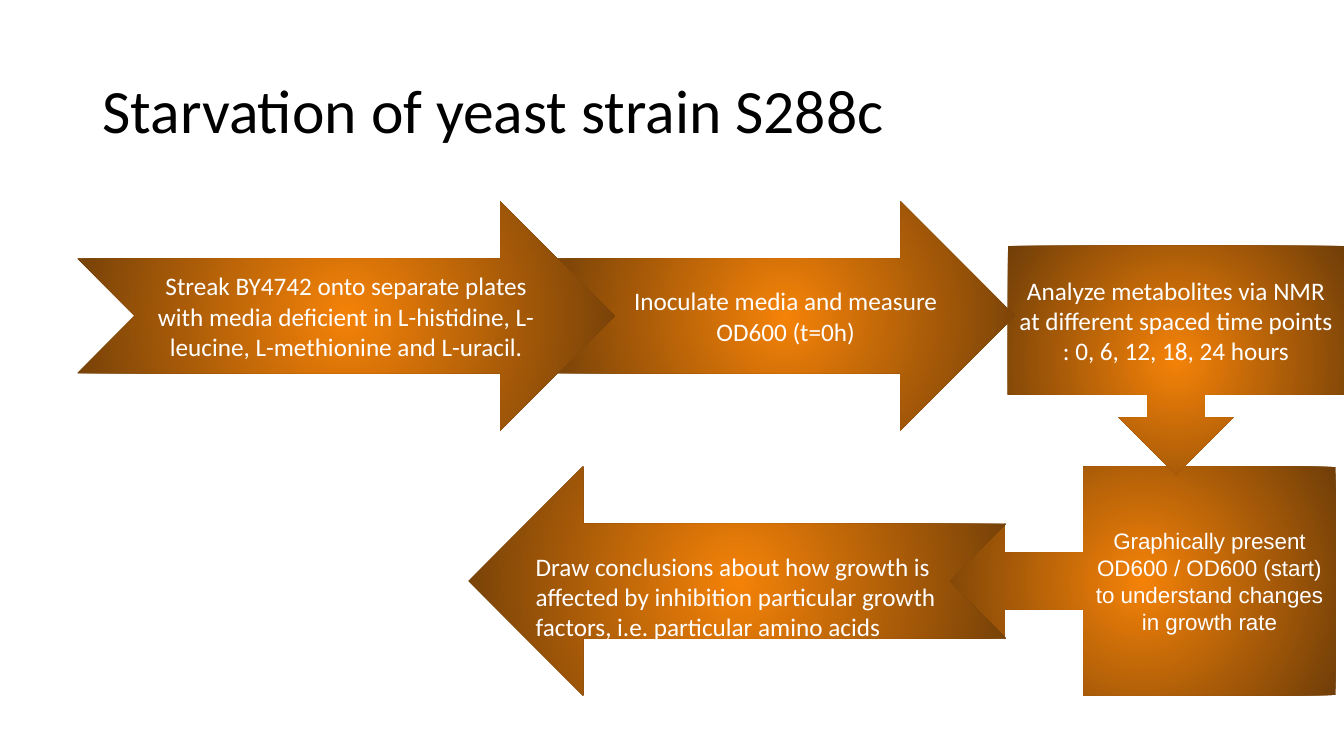
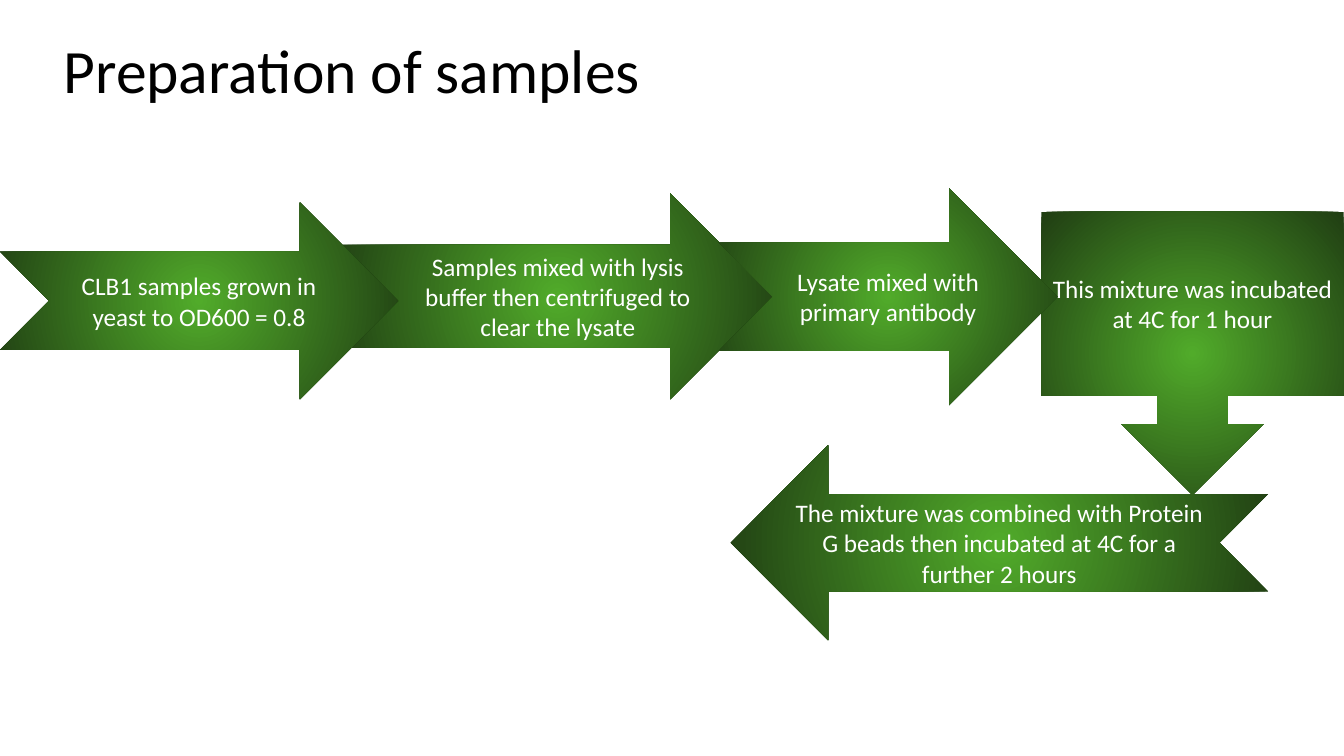
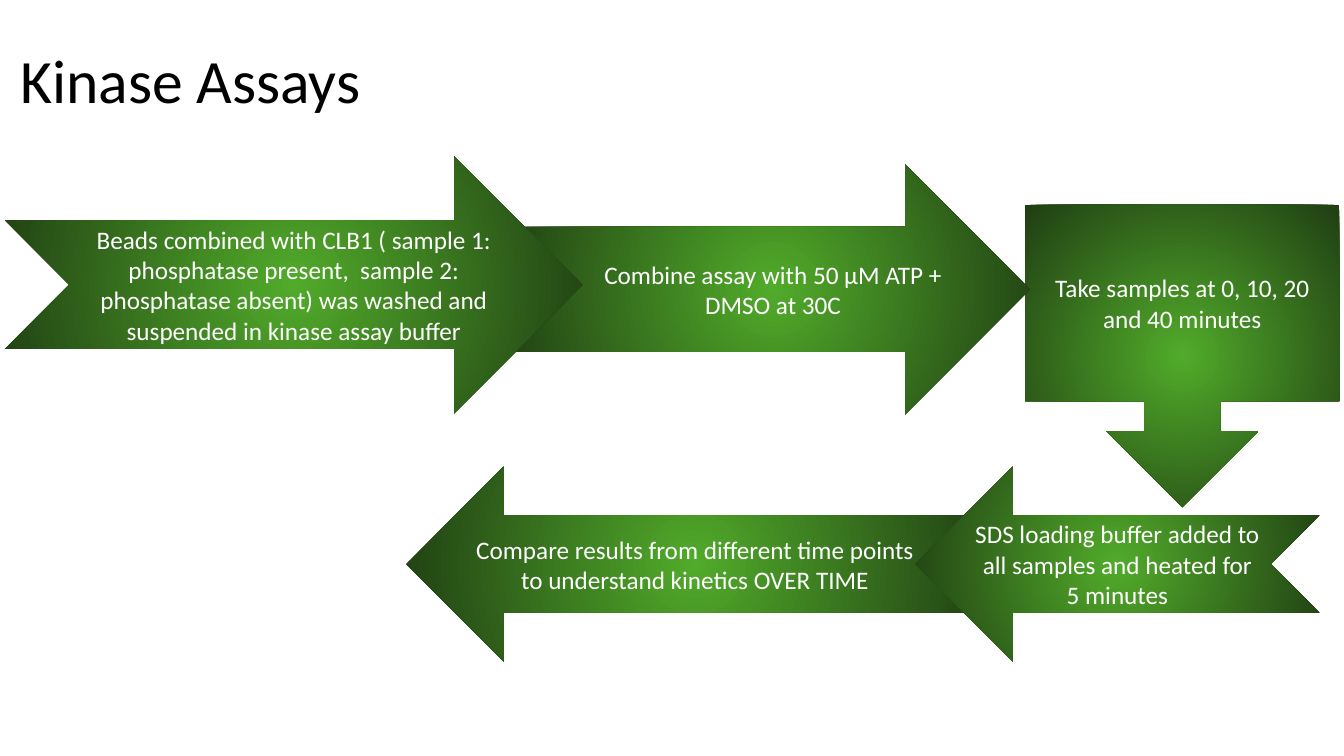
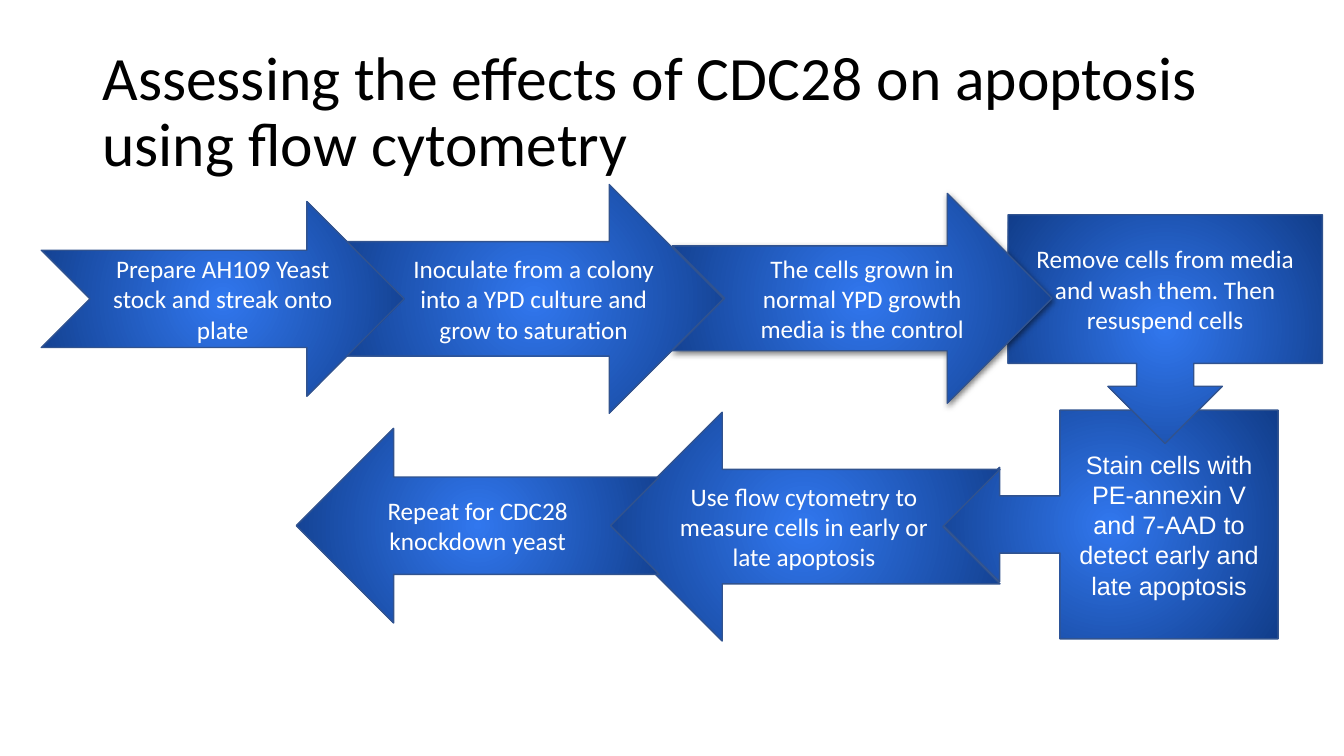
from dataclasses import dataclass
from lxml.etree import SubElement
from pptx import Presentation
from pptx.dml.color import RGBColor
from pptx.enum.shapes import MSO_SHAPE
from pptx.enum.text import MSO_ANCHOR, MSO_AUTO_SIZE, PP_ALIGN
from pptx.oxml.ns import qn
from pptx.util import Pt

BLACK = RGBColor(0x00, 0x00, 0x00)
WHITE = RGBColor(0xFF, 0xFF, 0xFF)
BLUE_EDGE = RGBColor(0x31, 0x53, 0x8F)
TITLE_ONLY = 5
BODY_FONT = "Calibri"
CALLOUT_FONT = "Arial"
TITLE_BOX = (66, 28.8, 828, 104.4)


@dataclass
class Palette:
    centre: RGBColor
    rim: RGBColor
    edge: RGBColor | None = None


ORANGE = Palette(RGBColor(0xF4, 0x82, 0x08), RGBColor(0x70, 0x3E, 0x08))
GREEN = Palette(RGBColor(0x51, 0xAB, 0x2A), RGBColor(0x20, 0x3E, 0x13))
BLUE = Palette(RGBColor(0x31, 0x77, 0xEE), RGBColor(0x11, 0x3D, 0x8A), BLUE_EDGE)


def fill_radial(step, palette):
    """Glow from the palette's centre colour out to its rim colour."""
    step.fill.gradient()
    inner, outer = step.fill.gradient_stops
    inner.color.rgb, outer.color.rgb = palette.centre, palette.rim
    gradient = step.element.spPr.find(qn("a:gradFill"))
    gradient.remove(gradient.find(qn("a:lin")))
    circle = SubElement(gradient, qn("a:path"), path="circle")
    SubElement(circle, qn("a:fillToRect"),
               dict.fromkeys(("l", "t", "r", "b"), "50000"))


def cast_shadow(step):
    """Soft shadow straight below the step."""
    effects = step.element.spPr.find(qn("a:effectLst"))
    shadow = SubElement(effects, qn("a:outerShdw"), blurRad=str(Pt(4.5)),
                        dist=str(Pt(1.5)), dir="5400000", rotWithShape="0")
    black = SubElement(shadow, qn("a:srgbClr"), val=str(BLACK))
    SubElement(black, qn("a:alpha"), val="49000")


def add_step(slide, palette, preset, box, text, font=BODY_FONT, size=18,
             align=PP_ALIGN.CENTER):
    step = slide.shapes.add_shape(preset, *map(Pt, box))
    step.shadow.inherit = False
    fill_radial(step, palette)
    if palette.edge is None:
        step.line.fill.background()
    else:
        step.line.color.rgb = palette.edge
        step.line.width = Pt(1)
    frame = step.text_frame
    frame.word_wrap = True
    frame.vertical_anchor = MSO_ANCHOR.MIDDLE
    label = frame.paragraphs[0]
    label.text = text
    label.alignment = align
    label.font.name, label.font.size = font, Pt(size)
    label.font.color.rgb = WHITE
    return step


def add_forward_arrow(slide, palette, box, text):
    return add_step(slide, palette, MSO_SHAPE.NOTCHED_RIGHT_ARROW, box, text)


def add_back_arrow(slide, palette, box, text, **style):
    arrow = add_step(slide, palette, MSO_SHAPE.NOTCHED_RIGHT_ARROW, box, text, **style)
    arrow.element.spPr.find(qn("a:xfrm")).set("flipH", "1")
    return arrow


def add_down_callout(slide, palette, box, text):
    return add_step(slide, palette, MSO_SHAPE.DOWN_ARROW_CALLOUT, box, text)


def add_left_callout(slide, palette, box, text, size):
    return add_step(slide, palette, MSO_SHAPE.LEFT_ARROW_CALLOUT, box, text,
                    CALLOUT_FONT, size)


def add_titled_slide(deck, text, box=TITLE_BOX):
    slide = deck.slides.add_slide(deck.slide_layouts[TITLE_ONLY])
    title = slide.shapes.title
    title.left, title.top, title.width, title.height = map(Pt, box)
    frame = title.text_frame
    frame.auto_size = MSO_AUTO_SIZE.NONE
    frame.word_wrap = True
    frame.vertical_anchor = MSO_ANCHOR.MIDDLE
    heading = frame.paragraphs[0]
    heading.text = text
    heading.alignment = PP_ALIGN.LEFT
    heading.line_spacing = 0.9
    heading.font.name, heading.font.size = BODY_FONT, Pt(44)
    heading.font.color.rgb = BLACK
    return slide


# Steps are added from back to front, so later ones overlap earlier ones.
def build_starvation(deck):
    slide = add_titled_slide(deck, "Starvation of yeast strain S288c")
    upper, lower, height = 144, 333.4, 163.4
    add_left_callout(slide, ORANGE, (676.8, lower, 277.2, height),
                     "Graphically present OD600 / OD600 (start) to understand "
                     "changes in growth rate", 16)
    conclusions = add_back_arrow(
        slide, ORANGE, (334.8, lower, 383.8, height),
        "Draw conclusions about how growth is affected by inhibition "
        "particular growth factors, i.e. particular amino acids",
        align=PP_ALIGN.LEFT)
    conclusions.text_frame.margin_top = Pt(25.6)  # text sits one line low
    add_down_callout(slide, ORANGE, (720, 175.7, 240, height),
                     "Analyze metabolites via NMR at different spaced time "
                     "points : 0, 6, 12, 18, 24 hours")
    add_forward_arrow(slide, ORANGE, (397.4, upper, 327.6, height),
                      "Inoculate media and measure OD600 (t=0h)")
    add_forward_arrow(slide, ORANGE, (55.4, upper, 383.8, height),
                      "Streak BY4742 onto separate plates with media deficient in "
                      "L-histidine, L-leucine, L-methionine and L-uracil.")


def build_preparation(deck):
    slide = add_titled_slide(deck, "Preparation of samples", (38.2, 0, 921.6, 104.4))
    add_down_callout(slide, GREEN, (743.8, 151.2, 216, 202.3),
                     "This mixture was incubated at 4C for 1 hour")
    for box, text in (
        ((244.8, 138.2, 307.4, 146.9),
         "Samples mixed with lysis buffer then centrifuged to clear the lysate"),
        ((513.4, 134.6, 241.9, 154.8), "Lysate mixed with primary antibody"),
        ((0, 144.7, 284.4, 140.4), "CLB1 samples grown in yeast to OD600 = 0.8"),
    ):
        add_forward_arrow(slide, GREEN, box, text)
    add_back_arrow(slide, GREEN, (522, 318.2, 383.8, 139),
                   "The mixture was combined with Protein G beads then incubated "
                   "at 4C for a further 2 hours")


def build_kinase_assays(deck):
    slide = add_titled_slide(deck, "Kinase Assays", (7.2, 7.2, 921.6, 104.4))
    lower, height = 333.4, 139
    add_back_arrow(slide, GREEN, (290.2, lower, 412.6, height),
                   "Compare results from different time points to understand "
                   "kinetics OVER TIME")
    add_down_callout(slide, GREEN, (732.2, 146.2, 224.6, 216),
                     "Take samples at 0, 10, 20 and 40 minutes")
    add_forward_arrow(slide, GREEN, (368.6, 117.4, 367.2, 178.6),
                      "Combine assay with 50 µM ATP + DMSO at 30C")
    add_forward_arrow(slide, GREEN, (3.6, 111.6, 412.6, 183.6),
                      "Beads combined with CLB1 ( sample 1: phosphatase present,  "
                      "sample 2: phosphatase absent) was washed and suspended in "
                      "kinase assay buffer")
    add_back_arrow(slide, GREEN, (653.8, lower, 288.7, height),
                   "SDS loading buffer added to all samples and heated for 5 minutes")


def build_flow_cytometry(deck):
    slide = add_titled_slide(
        deck, "Assessing the effects of CDC28 on apoptosis using flow cytometry")
    tall, short = 163.4, 139
    add_left_callout(slide, BLUE, (673.2, 293, 239.8, tall),
                     "Stain cells with PE-annexin V and 7-AAD to detect early and "
                     "late apoptosis", 18)
    # The last step lies over the measuring step's notch, beneath its head
    add_back_arrow(slide, BLUE, (434.2, 294.5, 280.1, tall),
                   "Use flow cytometry to measure cells in early or late apoptosis")
    add_back_arrow(slide, BLUE, (211.7, 306, 259.2, short),
                   "Repeat for CDC28 knockdown yeast")
    add_down_callout(slide, BLUE, (720, 153.4, 224.6, tall),
                     "Remove cells from media and wash them. Then resuspend cells")
    control = add_forward_arrow(
        slide, BLUE, (480.2, 138.2, 271.4, 149.8),
        "The cells grown in normal YPD growth media is the control")
    cast_shadow(control)
    add_forward_arrow(slide, BLUE, (245.5, 131.8, 271.4, tall),
                      "Inoculate from a colony into a YPD culture and grow to saturation")
    add_forward_arrow(slide, BLUE, (29.5, 144, 259.2, short),
                      "Prepare AH109 Yeast stock and streak onto plate")


def main():
    deck = Presentation()
    deck.slide_width, deck.slide_height = Pt(960), Pt(540)
    for build in (build_starvation, build_preparation, build_kinase_assays,
                  build_flow_cytometry):
        build(deck)
    deck.save("out.pptx")


if __name__ == "__main__":
    main()
